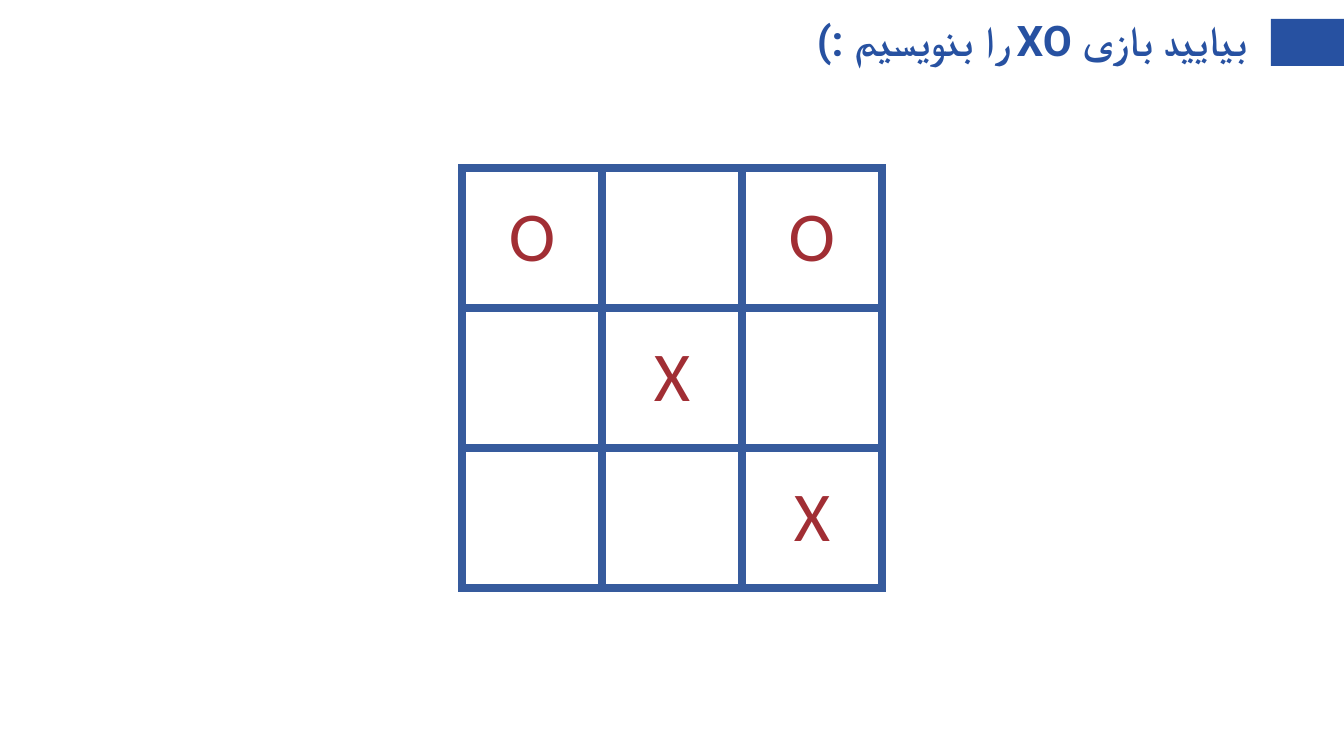
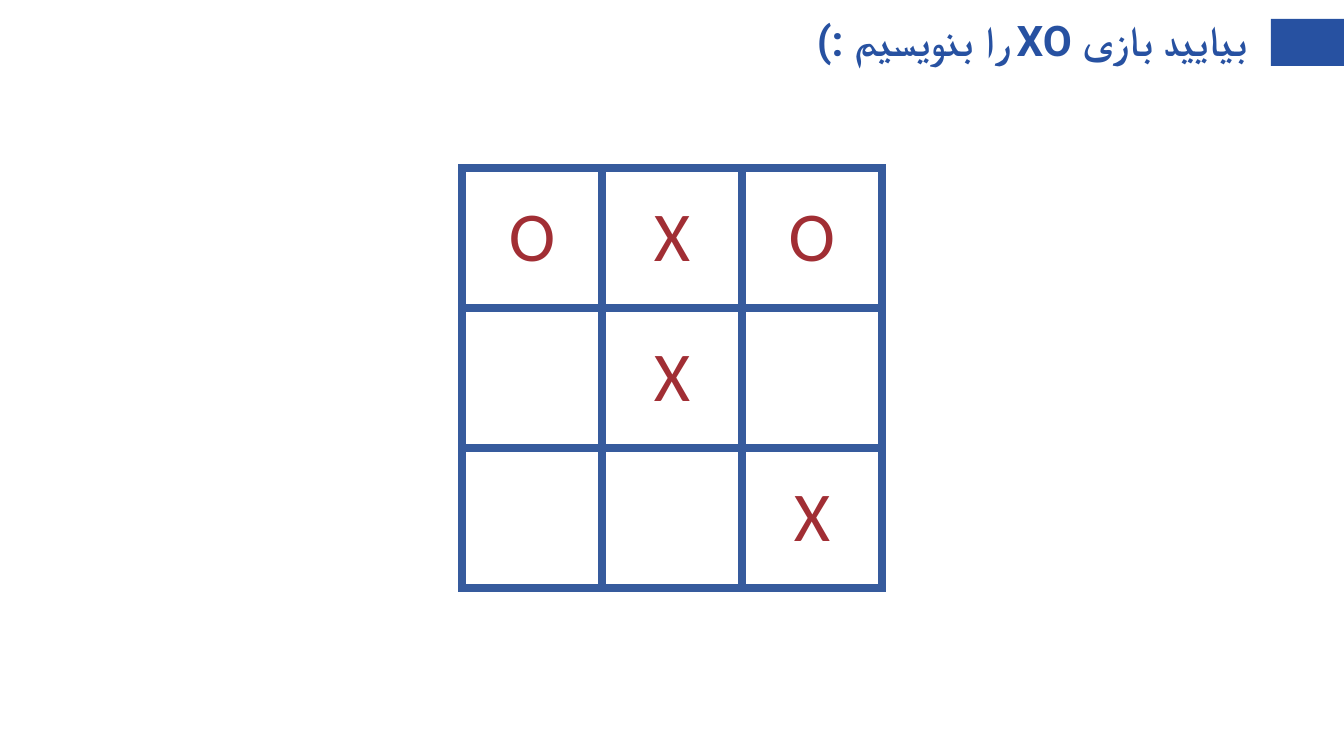
"""Build two slides showing successive moves of an XO game."""
from lxml.etree import SubElement
from pptx import Presentation
from pptx.dml.color import RGBColor
from pptx.enum.shapes import MSO_SHAPE as Shape
from pptx.enum.text import MSO_ANCHOR as Anchor, PP_ALIGN as Align
from pptx.oxml import parse_xml
from pptx.oxml.ns import nsdecls, qn
from pptx.util import Pt

TITLE = "بیایید بازی XO را بنویسیم :)"
BOARDS = [
    ["O O", " X ", "  X"],
    ["OXO", " X ", "  X"],
]

BLUE, GRID, RED, WHITE = "2751A1", "365B9D", "A12E34", "FFFFFF"
TITLE_FONT, MARK_FONT = "Roboto", "Calibri"
SLIDE_WIDTH, SLIDE_HEIGHT = 1344, 756
BAND = (1271, 19, 73, 47)
TITLE_AREA = (93, 5, 1159, 76)
TITLE_INSET = 5
CELL, BOARD_TOP = 140, 168
BORDER = 6
EMU_PER_PX = 12192000 / SLIDE_WIDTH


def px(length):
    return round(length * EMU_PER_PX)


def color(code):
    return RGBColor.from_string(code)


def style(span, font, size, code, bold=False):
    span.font.name = font
    span.font.size = Pt(size)
    span.font.color.rgb = color(code)
    span.font.bold = bold


def add_header(page):
    band = page.shapes.add_shape(Shape.RECTANGLE, *map(px, BAND))
    band.shadow.inherit = False
    band.fill.solid()
    band.fill.fore_color.rgb = color(BLUE)
    band.line.fill.background()

    frame = page.shapes.add_textbox(*map(px, TITLE_AREA)).text_frame
    frame.word_wrap = True
    frame.vertical_anchor = Anchor.MIDDLE
    frame.margin_left = frame.margin_right = px(TITLE_INSET)
    frame.margin_top = frame.margin_bottom = px(TITLE_INSET)
    frame.text = TITLE
    para = frame.paragraphs[0]
    para.alignment = Align.RIGHT
    para.line_spacing = 0.9
    para.space_before = Pt(9)
    para._p.get_or_add_pPr().set("rtl", "1")
    span = para.runs[0]
    style(span, TITLE_FONT, 30.1, BLUE, bold=True)
    SubElement(span._r.get_or_add_rPr(), qn("a:cs"), typeface=TITLE_FONT)


def add_borders(cell):
    properties = cell._tc.get_or_add_tcPr()
    for index, side in enumerate("LRTB"):
        properties.insert(index, parse_xml(
            f'<a:ln{side} {nsdecls("a")} w="{Pt(BORDER)}"><a:solidFill>'
            f'<a:srgbClr val="{GRID}"/></a:solidFill></a:ln{side}>'))


def fill_cell(cell, mark):
    cell.fill.solid()
    cell.fill.fore_color.rgb = color(WHITE)
    add_borders(cell)
    cell.margin_left = cell.margin_right = 0
    cell.margin_top = cell.margin_bottom = 0
    cell.vertical_anchor = Anchor.MIDDLE
    if mark.strip():
        cell.text_frame.text = mark
        para = cell.text_frame.paragraphs[0]
        para.alignment = Align.CENTER
        style(para.runs[0], MARK_FONT, 50, RED)


def add_board(page, board):
    count = len(board)
    side = CELL * count
    left = (SLIDE_WIDTH - side) // 2
    table = page.shapes.add_table(
        count, count, px(left), px(BOARD_TOP), px(side), px(side)).table
    table.first_row = table.horz_banding = False
    for column in table.columns:
        column.width = px(CELL)
    for row, marks in zip(table.rows, board):
        row.height = px(CELL)
        for cell, mark in zip(row.cells, marks):
            fill_cell(cell, mark)


def main():
    deck = Presentation()
    deck.slide_width, deck.slide_height = px(SLIDE_WIDTH), px(SLIDE_HEIGHT)
    for board in BOARDS:
        page = deck.slides.add_slide(deck.slide_layouts[6])
        add_header(page)
        add_board(page, board)
    deck.save("out.pptx")


if __name__ == "__main__":
    main()
